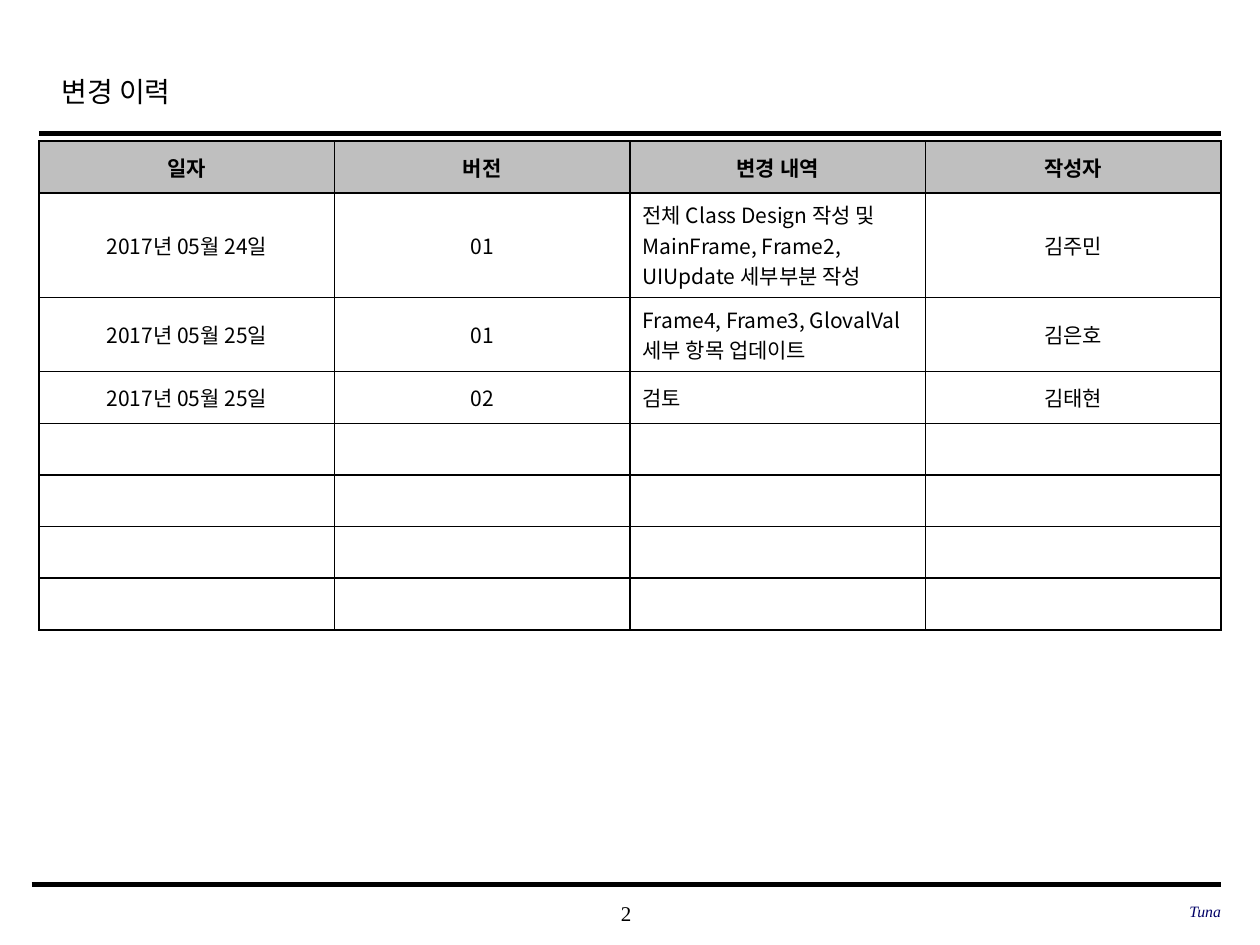
from dataclasses import dataclass

from lxml import etree
from pptx import Presentation
from pptx.dml.color import RGBColor
from pptx.enum import shapes, text
from pptx.oxml.ns import qn
from pptx.util import Inches, Pt


@dataclass(frozen=True)
class Theme:
    ink: str = "000000"
    paper: str = "FFFFFF"
    header: str = "BFBFBF"
    accent: str = "000066"
    serif: str = "Times New Roman"
    sans: str = "Noto Sans CJK KR"
    title: int = 16
    body: int = 12
    small: int = 9
    border: int = 1


LEFT, CENTER, RIGHT = text.PP_ALIGN.LEFT, text.PP_ALIGN.CENTER, text.PP_ALIGN.RIGHT
TOP, MIDDLE = text.MSO_ANCHOR.TOP, text.MSO_ANCHOR.MIDDLE


class SlideBuilder:
    def __init__(self, slide, theme):
        self.s, self.theme = slide, theme

    def style(self, p, size, font, color, align, bold=False, italic=False):
        p.alignment = align
        f = p.font
        f.size, f.name, f.bold, f.italic = Pt(size), font, bold, italic
        f.color.rgb = RGBColor.from_string(color)
        # East Asian face for the Korean text
        latin = p._p.pPr.find(qn("a:defRPr")).find(qn("a:latin"))
        ea = etree.Element(qn("a:ea"), typeface=self.theme.sans)
        latin.addnext(ea)

    def label(self, words, x, y, w, h, size, align, color=None,
              anchor=MIDDLE, inset=(0, 0), spacing=None, italic=False):
        sp = self.s.shapes.add_textbox(*map(Inches, (x, y, w, h)))
        tf = sp.text_frame
        tf.word_wrap, tf.vertical_anchor = True, anchor
        tf.margin_left = tf.margin_right = Inches(inset[0])
        tf.margin_top = tf.margin_bottom = Inches(inset[1])
        p = tf.paragraphs[0]
        p.text = words
        p.line_spacing = spacing
        self.style(p, size, self.theme.serif, color or self.theme.ink, align, italic=italic)

    def rule(self, x1, x2, y, weight):
        line = self.s.shapes.add_connector(
            shapes.MSO_CONNECTOR.STRAIGHT, *map(Inches, (x1, y, x2, y)))
        line.line.color.rgb = RGBColor.from_string(self.theme.ink)
        line.line.width = Pt(weight)
        etree.SubElement(line._element.spPr, qn("a:effectLst"))

    def borders(self, cell):
        tcPr = cell._tc.get_or_add_tcPr()
        for side in ("lnL", "lnR", "lnT", "lnB"):
            ln = etree.SubElement(tcPr, qn(f"a:{side}"), w=str(Pt(self.theme.border)))
            fill = etree.SubElement(ln, qn("a:solidFill"))
            etree.SubElement(fill, qn("a:srgbClr"), val=self.theme.ink)

    def cell(self, cell, words, fill, align, bold):
        self.borders(cell)
        cell.fill.solid()
        cell.fill.fore_color.rgb = RGBColor.from_string(fill)
        cell.vertical_anchor = MIDDLE
        p = cell.text_frame.paragraphs[0]
        p.text = words
        self.style(p, self.theme.body, self.theme.sans, self.theme.ink, align, bold)
        if not words:  # keeps an empty row at body height
            etree.SubElement(p._p, qn("a:endParaRPr"), sz=str(self.theme.body * 100))

    def table(self, rows, heights, x, y, width, left_column):
        n_cols = len(rows[0])
        frame = self.s.shapes.add_table(
            len(rows), n_cols, *map(Inches, (x, y, width, sum(heights))))
        table = frame.table
        for col in table.columns:
            col.width = Inches(width / n_cols)
        for i, (words, height) in enumerate(zip(rows, heights)):
            table.rows[i].height = Inches(height)
            for j, word in enumerate(words):
                align = LEFT if i and j == left_column else CENTER
                fill = self.theme.paper if i else self.theme.header
                self.cell(table.cell(i, j), word, fill, align, bold=i == 0)


HEADER = ["일자", "버전", "변경 내역", "작성자"]
CHANGES = [
    ["2017년 05월 24일", "01",
     "전체 Class Design 작성 및 MainFrame, Frame2, UIUpdate 세부부분 작성", "김주민"],
    ["2017년 05월 25일", "01", "Frame4, Frame3, GlovalVal 세부 항목 업데이트", "김은호"],
    ["2017년 05월 25일", "02", "검토", "김태현"],
]
SPARE_ROWS = 4
# Row heights by the number of text lines a row holds
LINE_HEIGHTS = {1: 0.41, 2: 0.59, 3: 0.83}
ROW_LINES = [1, 3, 2, 1] + [1] * SPARE_ROWS


def main():
    prs = Presentation()
    prs.slide_width, prs.slide_height = Inches(10), Inches(7.5)
    theme = Theme()
    page = SlideBuilder(prs.slides.add_slide(prs.slide_layouts[6]), theme)

    # Footer number and frame rules
    page.label("2", 3.93, 7.08, 2.08, 0.33, theme.body, CENTER)
    page.rule(0.31, 9.69, 1.06, 2.5)
    page.rule(0.25, 9.69, 7.02, 3)

    # Title and team name
    page.label("변경 이력", 0.39, 0.49, 7.55, 0.5, theme.title, LEFT,
               anchor=TOP, inset=(0.1, 0.05), spacing=1.2)
    page.label("Tuna", 6.63, 7.07, 3.06, 0.33, theme.small, RIGHT,
               color=theme.accent, italic=True)

    # Change history
    spare = [[""] * len(HEADER) for _ in range(SPARE_ROWS)]
    heights = [LINE_HEIGHTS[n] for n in ROW_LINES]
    page.table([HEADER] + CHANGES + spare, heights, 0.31, 1.12, 9.38, left_column=2)

    prs.save("out.pptx")


if __name__ == "__main__":
    main()
